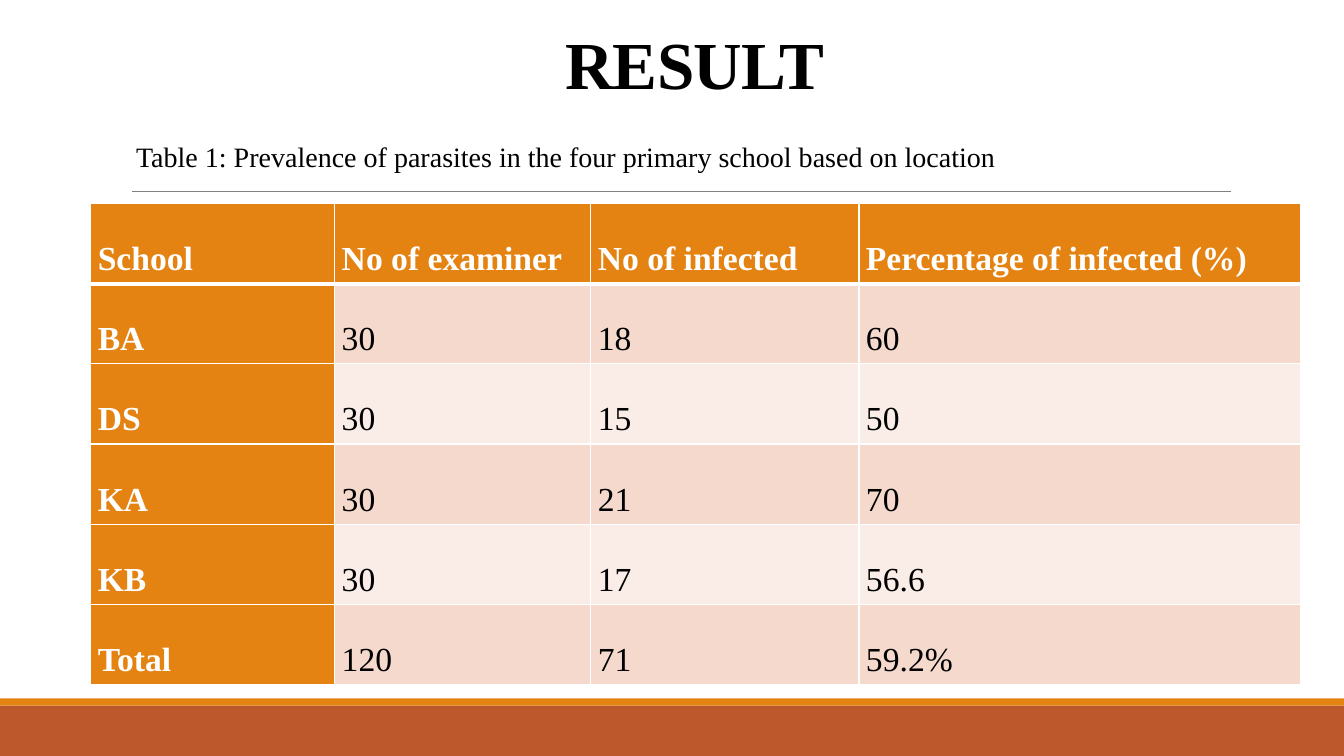
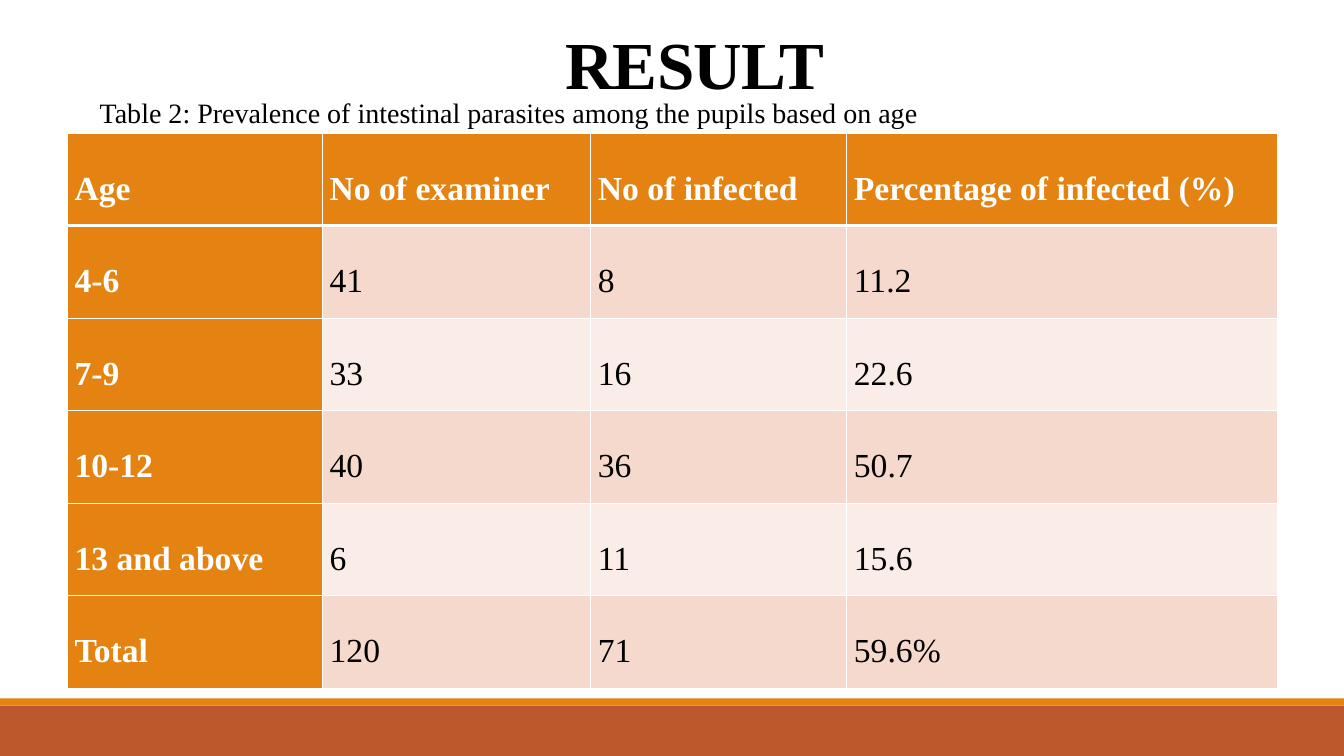
from lxml import etree
from pptx import Presentation
from pptx.dml.color import RGBColor
from pptx.enum.shapes import MSO_CONNECTOR, MSO_SHAPE
from pptx.enum.text import MSO_ANCHOR, MSO_AUTO_SIZE, PP_ALIGN
from pptx.oxml.ns import qn
from pptx.util import Inches, Pt

RECTANGLE = MSO_SHAPE.RECTANGLE
STRAIGHT = MSO_CONNECTOR.STRAIGHT
CENTER, JUSTIFY, LEFT = PP_ALIGN.CENTER, PP_ALIGN.JUSTIFY, PP_ALIGN.LEFT
BOTTOM, MIDDLE = MSO_ANCHOR.BOTTOM, MSO_ANCHOR.MIDDLE
GROW = MSO_AUTO_SIZE.SHAPE_TO_FIT_TEXT

BLACK = RGBColor(0x00, 0x00, 0x00)
WHITE = RGBColor(0xFF, 0xFF, 0xFF)
GRAY = RGBColor(0x80, 0x80, 0x80)
RUST = RGBColor(0xBD, 0x58, 0x2C)
ORANGE = RGBColor(0xE4, 0x83, 0x12)
DARK_BAND = RGBColor(0xF5, 0xD9, 0xCC)
LIGHT_BAND = RGBColor(0xFA, 0xED, 0xE7)
FONT = "Times New Roman"

WIDTH, HEIGHT = 13.33, 7.5
MARGIN, CONTENT_WIDTH = 0.89, 12
MEASURES = ["No of examiner", "No of infected", "Percentage of infected (%)"]

RESULTS = [
    {
        "caption": "Table 1: Prevalence of parasites in the four primary school based on location",
        "caption_place": (1.38, 9.04, 0.34),
        "caption_insets": (0.46, 0, 0, 0),
        "table_place": (0.9, 2.02, 4.77),
        "columns": [2.42, 2.54, 2.66, 4.38],
        "rows": [
            ["School"] + MEASURES,
            ["BA", "30", "18", "60"],
            ["DS", "30", "15", "50"],
            ["KA", "30", "21", "70"],
            ["KB", "30", "17", "56.6"],
            ["Total", "120", "71", "59.2%"],
        ],
    },
    {
        "caption": "Table 2: Prevalence of intestinal parasites among the pupils based on age",
        "caption_place": (0.89, 8.44, 0.44),
        "caption_insets": (0.1, 0.05, 0.1, 0.05),
        "table_place": (0.67, 1.32, 5.51),
        "columns": [2.53, 2.66, 2.54, 4.27],
        "rows": [
            ["Age"] + MEASURES,
            ["4-6", "41", "8", "11.2"],
            ["7-9", "33", "16", "22.6"],
            ["10-12", "40", "36", "50.7"],
            ["13 and above", "6", "11", "15.6"],
            ["Total", "120", "71", "59.6%"],
        ],
    },
]


def write(frame, text, size, color, bold=False, align=JUSTIFY, spacing=1.0):
    frame.text = text
    para = frame.paragraphs[0]
    para.alignment = align
    para.line_spacing = spacing
    font = para.runs[0].font
    font.name, font.size, font.bold = FONT, Pt(size), bold
    font.color.rgb = color


def set_borders(cell, bottom):
    properties = cell.fill and cell._tc.get_or_add_tcPr()
    for index, side in enumerate(["lnL", "lnR", "lnT", "lnB"]):
        points = bottom if side == "lnB" else 1
        line = etree.Element(qn("a:" + side), w=str(Pt(points)))
        solid = etree.SubElement(line, qn("a:solidFill"))
        etree.SubElement(solid, qn("a:srgbClr"), val=str(WHITE))
        properties.insert(index, line)


deck = Presentation()
deck.slide_width, deck.slide_height = Inches(WIDTH), Inches(HEIGHT)
layout = deck.slide_layouts[5]
heading = layout.placeholders[0]
heading.left, heading.top = Inches(MARGIN), Inches(0.13)
heading.width, heading.height = Inches(CONTENT_WIDTH), Inches(0.94)
pages = [deck.slides.add_slide(layout) for result in RESULTS]

decorations = []
for top, height, color in [(7, 0.5, RUST), (6.93, 0.07, ORANGE)]:
    band = pages[0].shapes.add_shape(
        RECTANGLE, 0, Inches(top), Inches(WIDTH), Inches(height))
    band.shadow.inherit = False
    band.fill.solid()
    band.fill.fore_color.rgb = color
    band.line.fill.background()
    decorations.append(band)

rule = pages[0].shapes.add_connector(
    STRAIGHT, Inches(1.31), Inches(1.9), Inches(12.21), Inches(1.9))
rule.line.color.rgb = GRAY
rule.line.width = Pt(0.5)
etree.SubElement(rule.element.spPr, qn("a:effectLst"))
decorations.append(rule)

for number, decoration in enumerate(decorations):
    decoration.element.xpath(".//p:cNvPr")[0].set("id", str(100 + number))
    layout.shapes.element.insert(2 + number, decoration.element)

for page, result in zip(pages, RESULTS):
    title = page.shapes.title
    title.text_frame.vertical_anchor = BOTTOM
    write(title.text_frame, "RESULT", 48, BLACK, True, CENTER, 0.85)
    title.element.xpath(".//a:rPr")[0].set("spc", "-50")

    left, top, height = result["table_place"]
    rows, columns = result["rows"], result["columns"]
    table = page.shapes.add_table(
        len(rows), len(columns), Inches(left), Inches(top),
        Inches(CONTENT_WIDTH), Inches(height)).table
    table.first_col = True
    for column, width in zip(table.columns, columns):
        column.width = Inches(width)
    for r, values in enumerate(rows):
        for c, value in enumerate(values):
            cell = table.cell(r, c)
            is_label = r == 0 or c == 0
            band_color = DARK_BAND if r % 2 else LIGHT_BAND
            cell.margin_left = cell.margin_right = Inches(0.07)
            cell.margin_top = cell.margin_bottom = 0
            cell.fill.solid()
            cell.fill.fore_color.rgb = ORANGE if is_label else band_color
            align = LEFT if value == MEASURES[-1] else JUSTIFY
            write(cell.text_frame, value, 24, WHITE if is_label else BLACK,
                  is_label, align, 2.0)
            set_borders(cell, 3 if r == 0 else 1)
            if r == 1:
                cell._tc.tcPr.find(qn("a:lnT")).set("w", str(Pt(3)))

    top, width, height = result["caption_place"]
    caption = page.shapes.add_textbox(
        Inches(MARGIN), Inches(top), Inches(width), Inches(height))
    frame = caption.text_frame
    frame.word_wrap = False
    frame.auto_size = GROW
    frame.vertical_anchor = MIDDLE
    (frame.margin_left, frame.margin_top,
     frame.margin_right, frame.margin_bottom) = map(Inches, result["caption_insets"])
    write(frame, result["caption"], 20, BLACK)

deck.save("out.pptx")
